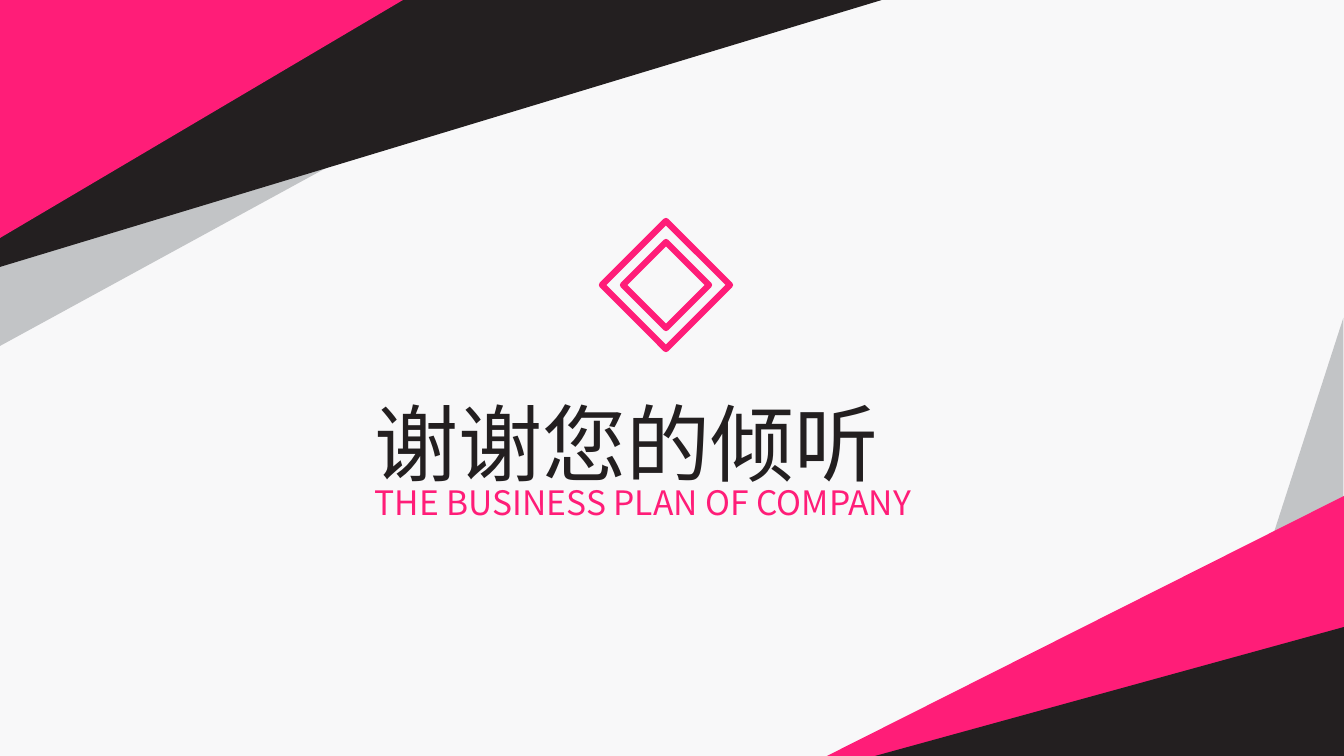
from pptx import Presentation
from pptx.dml.color import RGBColor
from pptx.enum.shapes import MSO_SHAPE
from pptx.enum.text import MSO_AUTO_SIZE, PP_ALIGN
from pptx.oxml.ns import qn
from pptx.util import Emu, Pt
from lxml.etree import SubElement

PINK = RGBColor(0xFF, 0x1D, 0x78)
BLACK = RGBColor(0x23, 0x1F, 0x20)
GREY = RGBColor(0xC2, 0xC4, 0xC6)
PALE = RGBColor(0xF8, 0xF8, 0xF9)
WIDE, HIGH = 1344, 756


def px(*nums):
    return [Emu(round(n * 914400 / 100.8)) for n in nums]


class Deck:
    """Holds the style and the current slide, and draws its elements."""

    font = "Noto Sans CJK SC"

    def __init__(self):
        self.show = Presentation()
        self.show.slide_width, self.show.slide_height = px(WIDE, HIGH)
        self.slide = self.show.slides.add_slide(self.show.slide_layouts[6])
        back = self.slide.background.fill
        back.solid()
        back.fore_color.rgb = PALE

    def group(self):
        return self.slide.shapes.add_group_shape().shapes

    def wedge(self, home, box, tint, flip=None, turn=0):
        shape = home.add_shape(MSO_SHAPE.RIGHT_TRIANGLE, *px(*box))
        shape.shadow.inherit = False
        shape.fill.solid()
        shape.fill.fore_color.rgb = tint
        shape.line.fill.background()
        shape.rotation = turn
        if flip:
            shape.element.spPr.find(qn("a:xfrm")).set(flip, "1")

    def gem(self, home, left, top, size):
        shape = home.add_shape(MSO_SHAPE.DIAMOND, *px(left, top, size, size))
        shape.shadow.inherit = False
        shape.fill.background()
        shape.line.color.rgb = PINK
        shape.line.width = Pt(4.5)

    def text(self, words, *, box, size, tint):
        frame = self.slide.shapes.add_textbox(*px(*box)).text_frame
        frame.word_wrap = True
        frame.auto_size = MSO_AUTO_SIZE.SHAPE_TO_FIT_TEXT
        para = frame.paragraphs[0]
        para.alignment = PP_ALIGN.JUSTIFY
        run = para.add_run()
        run.text = words
        run.font.size = Pt(size)
        run.font.color.rgb = tint
        run.font.name = self.font
        SubElement(run.font._element, qn("a:ea"), typeface=self.font)


def main():
    deck = Deck()
    top = deck.group()
    for wide, high, tint in ((634, 346, GREY), (882, 267, BLACK), (403, 238, PINK)):
        deck.wedge(top, (0, 0, wide, high), tint, flip="flipV")

    base = deck.group()
    deck.wedge(base, (1053, 466, 439, 142), GREY, turn=270)
    for wide, high, tint in ((517, 260, PINK), (469, 129, BLACK)):
        deck.wedge(base, (WIDE - wide, HIGH - high, wide, high), tint, flip="flipH")

    deck.text("谢谢您的倾听", box=(365, 387, 614, 112), size=60, tint=BLACK)
    deck.text("THE BUSINESS PLAN OF COMPANY", box=(365, 477, 601, 50),
              size=24, tint=PINK)

    mark = deck.group()
    for inset in (0, 21):
        deck.gem(mark, 602 + inset, 221 + inset, 128 - 2 * inset)
    deck.show.save("out.pptx")


if __name__ == "__main__":
    main()
